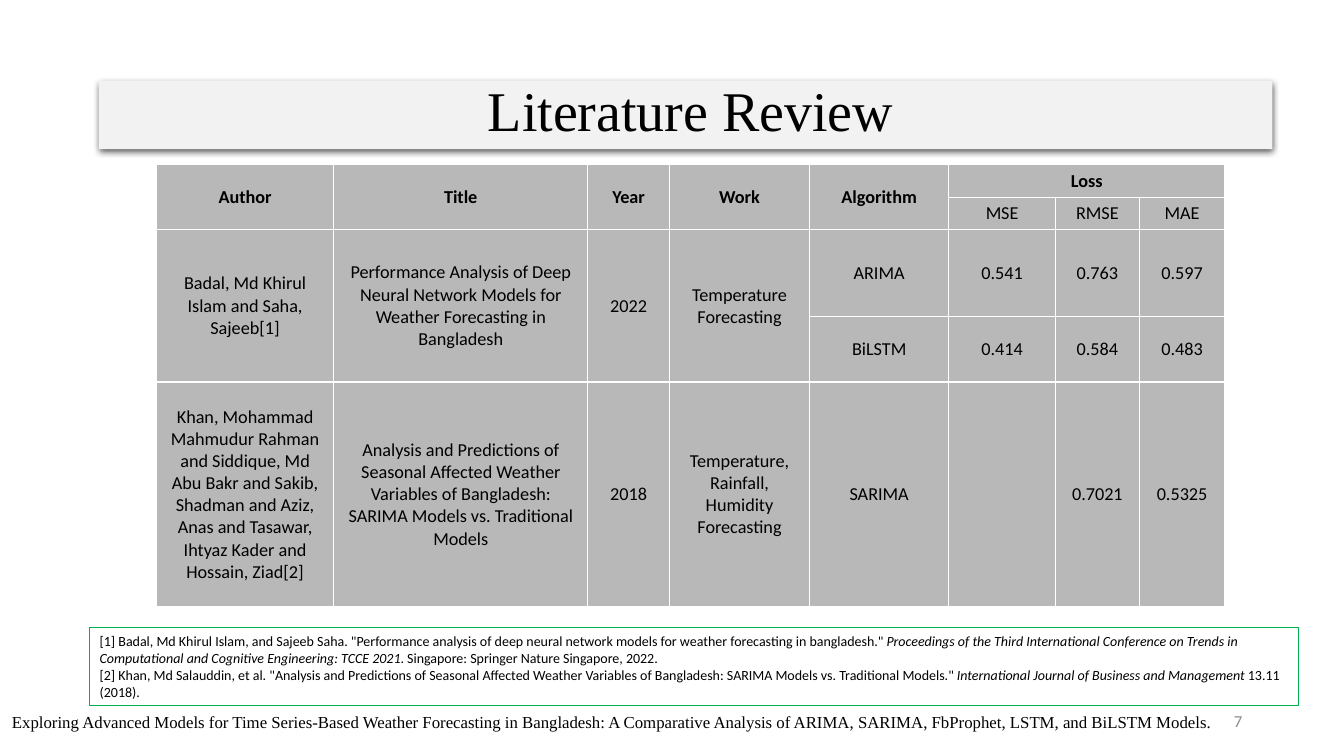
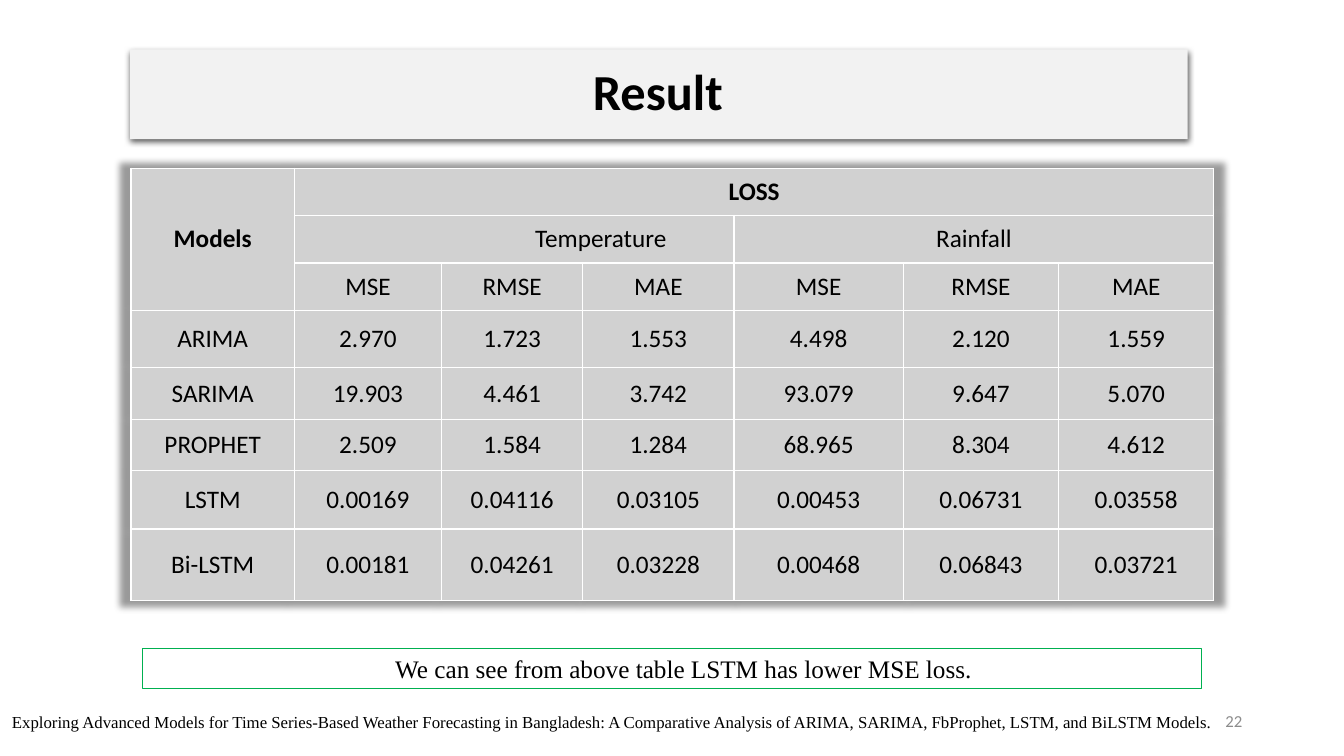
from dataclasses import dataclass

from lxml.etree import SubElement
from pptx import Presentation
from pptx.dml.color import RGBColor
from pptx.enum.shapes import MSO_SHAPE
from pptx.enum.text import MSO_ANCHOR, MSO_AUTO_SIZE, PP_ALIGN
from pptx.oxml import parse_xml
from pptx.oxml.ns import nsdecls, qn
from pptx.util import Inches, Pt


@dataclass(frozen=True)
class Theme:
    ink: str = "000000"
    band: str = "F2F2F2"
    frame: str = "00B050"
    muted: str = "8C8C8C"
    dark: str = "B8B8B8"
    light: str = "D1D1D1"
    sans: str = "Calibri"
    serif: str = "Times New Roman"
    large: int = 40
    head: int = 36
    text: int = 18
    cell: int = 13
    foot: int = 12
    note: int = 10


THEME = Theme()
FOOTER = (
    "Exploring Advanced Models for Time Series-Based Weather Forecasting in "
    "Bangladesh: A Comparative Analysis of ARIMA, SARIMA, FbProphet, LSTM, "
    "and BiLSTM Models."
)
LOSSES = ["MSE", "RMSE", "MAE"]


def add_glow(props, alpha, **attrs):
    """Build an outer shadow in an effect list of the given properties."""
    effects = parse_xml(f"<a:effectLst {nsdecls('a')}/>")
    shade = SubElement(effects, qn("a:outerShdw"), attrs)
    color = SubElement(shade, qn("a:srgbClr"), val=THEME.ink)
    SubElement(color, qn("a:alpha"), val=str(alpha * 1000))
    props.append(effects)
    return effects


class Deck:
    def __init__(self, theme):
        self.theme = theme
        self.file = Presentation()
        self.file.slide_width = Inches(13.33)
        self.file.slide_height = Inches(7.5)
        self.slide = None

    def start(self, number):
        """Open a slide with its running footer and number."""
        t = self.theme
        self.slide = self.file.slides.add_slide(self.file.slide_layouts[5])
        self.text((0, 7.01, 12.15, 0.3), FOOTER, t.foot, t.serif)
        self.text((9.42, 6.95, 3, 0.4), number, t.foot, t.sans, t.muted,
                  PP_ALIGN.RIGHT, MSO_ANCHOR.MIDDLE)

    def style(self, para, size, face, color=None, align=PP_ALIGN.CENTER,
              bold=False):
        para.alignment = align
        font = para.font
        font.size, font.name, font.bold = Pt(size), face, bold
        font.color.rgb = RGBColor.from_string(color or self.theme.ink)

    def text(self, box, words, size, face, color=None,
             align=PP_ALIGN.CENTER, anchor=MSO_ANCHOR.TOP):
        frame = self.slide.shapes.add_textbox(*map(Inches, box)).text_frame
        frame.word_wrap = True
        frame.vertical_anchor = anchor
        frame.text = words
        self.style(frame.paragraphs[0], size, face, color, align)

    def panel(self, box):
        shape = self.slide.shapes.add_shape(MSO_SHAPE.RECTANGLE,
                                            *map(Inches, box))
        shape.shadow.inherit = False
        return shape

    def title(self, band, box, words, size, face, bold=False, spacing=1.0):
        """Set the title over a shaded band."""
        panel = self.panel(band)
        panel.fill.solid()
        panel.fill.fore_color.rgb = RGBColor.from_string(self.theme.band)
        panel.line.fill.background()
        props = panel.fill._xPr
        props.remove(props.find(qn("a:effectLst")))
        add_glow(props, 63, blurRad=str(Pt(4.5)), dist=str(Pt(1.5)),
                 dir="5400000", algn="t", rotWithShape="0")

        title = self.slide.shapes.title
        title.left, title.top, title.width, title.height = map(Inches, box)
        panel.element.addnext(title.element)
        frame = title.text_frame
        frame.text = words
        frame.auto_size = MSO_AUTO_SIZE.NONE
        frame.vertical_anchor = MSO_ANCHOR.MIDDLE
        frame.paragraphs[0].line_spacing = spacing
        self.style(frame.paragraphs[0], size, face, bold=bold)

    def note(self, box, lines, size, face, align=PP_ALIGN.LEFT, inset=0.1):
        """Frame paragraphs whose every second part is italic."""
        panel = self.panel(box)
        panel.fill.background()
        panel.line.color.rgb = RGBColor.from_string(self.theme.frame)
        panel.line.width = Pt(0.75)
        frame = panel.text_frame
        frame.word_wrap = True
        frame.vertical_anchor = MSO_ANCHOR.TOP
        frame.margin_left = Inches(inset)
        for i, parts in enumerate(lines):
            para = frame.add_paragraph() if i else frame.paragraphs[0]
            self.style(para, size, face, align=align)
            for j, part in enumerate(parts):
                run = para.add_run()
                run.text = part
                if j % 2:
                    run.font.italic = True

    def table(self, box, cols, rows, data, spans, fill, size):
        """Fill a grid; spans give row, column, height and width."""
        grid = self.slide.shapes.add_table(len(rows), len(cols),
                                           *map(Inches, box)).table
        for col, width in zip(grid.columns, cols):
            col.width = Inches(width)
        for row, height in zip(grid.rows, rows):
            row.height = Inches(height)
        for r, c, high, wide in spans:
            grid.cell(r, c).merge(grid.cell(r + high - 1, c + wide - 1))
        for r, line in enumerate(data):
            for c, words in enumerate(line):
                cell = grid.cell(r, c)
                cell.fill.solid()
                cell.fill.fore_color.rgb = RGBColor.from_string(fill)
                cell.vertical_anchor = MSO_ANCHOR.MIDDLE
                cell.text = words
                self.style(cell.text_frame.paragraphs[0], size,
                           self.theme.sans, bold=r == 0)
        return grid


def review(deck):
    t = deck.theme
    deck.start("7")
    deck.title((0.98, 0.8, 11.64, 0.68), (4.42, 0.7, 4.86, 0.77),
               "Literature Review", t.large, t.serif)
    data = [
        ["Author", "Title", "Year", "Work", "Algorithm", "Loss", "", ""],
        [""] * 5 + LOSSES,
        ["Badal, Md Khirul Islam and Saha, Sajeeb[1]",
         "Performance Analysis of Deep Neural Network Models for Weather "
         "Forecasting in Bangladesh",
         "2022", "Temperature Forecasting", "ARIMA",
         "0.541", "0.763", "0.597"],
        [""] * 4 + ["BiLSTM", "0.414", "0.584", "0.483"],
        ["Khan, Mohammad Mahmudur Rahman and Siddique, Md Abu Bakr and "
         "Sakib, Shadman and Aziz, Anas and Tasawar, Ihtyaz Kader and "
         "Hossain, Ziad[2]",
         "Analysis and Predictions of Seasonal Affected Weather Variables "
         "of Bangladesh: SARIMA Models vs. Traditional Models",
         "2018", "Temperature, Rainfall, Humidity Forecasting", "SARIMA",
         "", "0.7021", "0.5325"],
    ]
    spans = [(0, c, 2, 1) for c in range(5)] + [(0, 5, 1, 3)]
    spans += [(2, c, 2, 1) for c in range(4)]
    deck.table((1.55, 1.63, 10.6, 4.38),
               [1.76, 2.52, 0.81, 1.39, 1.38, 1.06, 0.83, 0.85],
               [0.33, 0.31, 0.86, 0.65, 2.23], data, spans, t.dark, t.cell)
    deck.note((0.89, 6.23, 11.99, 0.77), [
        ('[1] Badal, Md Khirul Islam, and Sajeeb Saha. "Performance analysis '
         'of deep neural network models for weather forecasting in '
         'bangladesh." ',
         "Proceedings of the Third International Conference on Trends in "
         "Computational and Cognitive Engineering: TCCE 2021",
         ". Singapore: Springer Nature Singapore, 2022."),
        ('[2] Khan, Md Salauddin, et al. "Analysis and Predictions of '
         'Seasonal Affected Weather Variables of Bangladesh: SARIMA Models '
         'vs. Traditional Models." ',
         "International Journal of Business and Management",
         " 13.11 (2018)."),
    ], t.note, t.sans)


def result(deck):
    t = deck.theme
    deck.start("22")
    deck.title((1.29, 0.49, 10.49, 0.89), (1.27, 0.6, 10.51, 0.66),
               "Result", t.head, t.sans, bold=True, spacing=0.9)
    data = [
        ["Models", "LOSS"] + [""] * 5,
        ["", "Temperature", "", "", "Rainfall", "", ""],
        [""] + LOSSES * 2,
        ["ARIMA", "2.970", "1.723", "1.553", "4.498", "2.120", "1.559"],
        ["SARIMA", "19.903", "4.461", "3.742", "93.079", "9.647", "5.070"],
        ["PROPHET", "2.509", "1.584", "1.284", "68.965", "8.304", "4.612"],
        ["LSTM", "0.00169", "0.04116", "0.03105",
         "0.00453", "0.06731", "0.03558"],
        ["Bi-LSTM", "0.00181", "0.04261", "0.03228",
         "0.00468", "0.06843", "0.03721"],
    ]
    spans = [(0, 0, 3, 1), (0, 1, 1, 6), (1, 1, 1, 3), (1, 4, 1, 3)]
    grid = deck.table((1.3, 1.67, 10.74, 4.28),
                      [1.62, 1.46, 1.4, 1.5, 1.68, 1.54, 1.54],
                      [0.47] * 3 + [0.57, 0.51, 0.51, 0.58, 0.71],
                      data, spans, t.light, t.text)
    grid.cell(1, 1).margin_left = Inches(1.82)
    props = grid._tbl.tblPr
    props.insert(0, add_glow(props, 40, blurRad=str(Pt(5)), sx="102000",
                             sy="102000", algn="ctr", rotWithShape="0"))
    deck.note((1.41, 6.43, 10.51, 0.4),
              [("We can see from above table LSTM has lower MSE loss.",)],
              t.text, t.serif, PP_ALIGN.CENTER, 0.33)


def main():
    deck = Deck(THEME)
    review(deck)
    result(deck)
    deck.file.save("out.pptx")


if __name__ == "__main__":
    main()
